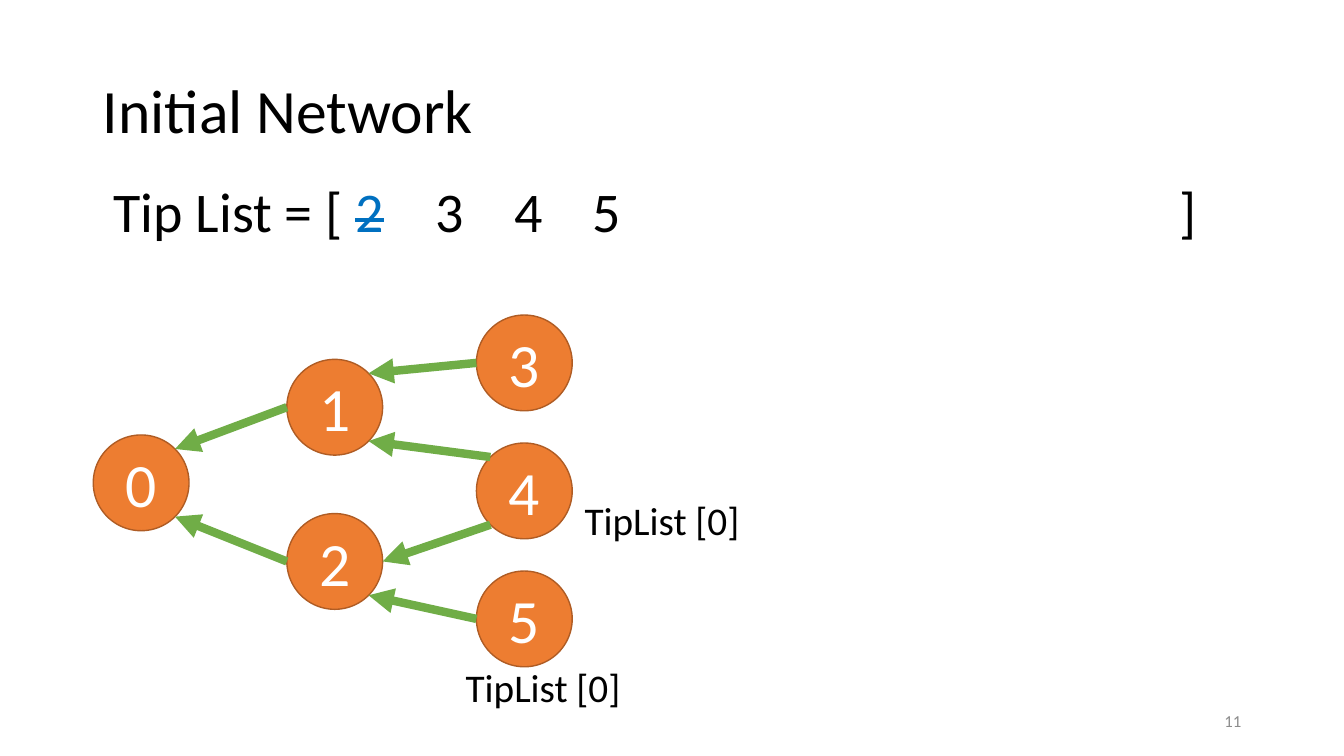
from math import cos, radians, sin

from lxml import etree
from pptx import Presentation
from pptx.dml.color import RGBColor
from pptx.enum.shapes import MSO_CONNECTOR, MSO_SHAPE
from pptx.enum.text import MSO_ANCHOR, PP_ALIGN
from pptx.oxml.ns import qn
from pptx.util import Inches, Pt

ELLIPSE, STRAIGHT = MSO_SHAPE.OVAL, MSO_CONNECTOR.STRAIGHT
TOP, MIDDLE = MSO_ANCHOR.TOP, MSO_ANCHOR.MIDDLE
LEFT, CENTER, RIGHT = PP_ALIGN.LEFT, PP_ALIGN.CENTER, PP_ALIGN.RIGHT

WIDTH, HEIGHT = 13.33, 7.5
MARGIN = 0.92
CONTENT_WIDTH = WIDTH - 2 * MARGIN
DIAMETER = 0.95
COLUMNS = [1.4, 3.32, 5.2]
TIP_TOP, TIP_GAP = 3.6, 1.27
NODES = {
    "0": (COLUMNS[0], 4.79),
    "1": (COLUMNS[1], 4.04),
    "2": (COLUMNS[1], 5.57),
    **{str(3 + row): (COLUMNS[2], TIP_TOP + row * TIP_GAP) for row in range(3)},
}
EAST, SOUTH_EAST, SOUTH_WEST, WEST, NORTH_WEST, NORTH_EAST = 0, 45, 135, 180, 225, 315
EDGES = [
    ("1", WEST, "0", NORTH_EAST),
    ("2", WEST, "0", SOUTH_EAST),
    ("3", WEST, "1", NORTH_EAST),
    ("4", NORTH_WEST, "1", SOUTH_EAST),
    ("4", SOUTH_WEST, "2", EAST),
    ("5", WEST, "2", SOUTH_EAST),
]
FIRST_TIP_STOP, TIP_STOP_GAP, BRACKET_STOP = 3.19, 0.78, 10.57
TIP_STOPS = [FIRST_TIP_STOP + i * TIP_STOP_GAP for i in range(3)] + [BRACKET_STOP]


def color(value):
    return RGBColor.from_string(value)


def format_text(shape, size, hex_color="000000", align=LEFT, anchor=TOP):
    shape.text_frame.word_wrap = True
    shape.text_frame.vertical_anchor = anchor
    for paragraph in shape.text_frame.paragraphs:
        paragraph.alignment = align
        for run in paragraph.runs:
            run.font.name = "Calibri"
            run.font.size = Pt(size)
            run.font.color.rgb = color(hex_color)


def place(shape, left, top, width, height):
    shape.left, shape.top = Inches(left), Inches(top)
    shape.width, shape.height = Inches(width), Inches(height)


def add_title(slide, text):
    title = slide.shapes.title
    place(title, MARGIN, 0.4, CONTENT_WIDTH, 1.45)
    title.text_frame.text = text
    title.text_frame.paragraphs[0].line_spacing = 0.9
    format_text(title, 44, anchor=MIDDLE)


def add_text(slide, box, text, size, **style):
    shape = slide.shapes.add_textbox(*map(Inches, box))
    shape.text_frame.text = text
    format_text(shape, size, **style)
    return shape


def add_tip_list(slide):
    shape = add_text(slide, (1.03, 1.7, 11.38, 0.77), "Tip List = [ ", 40)
    paragraph = shape.text_frame.paragraphs[0]
    used_tip, open_tips = paragraph.add_run(), paragraph.add_run()
    used_tip.text = "2"
    open_tips.text = "\t3\t4\t5\t]"
    format_text(shape, 40)
    used_tip.font.color.rgb = color("0070C0")
    used_tip.font._element.set("strike", "sngStrike")
    tabs = etree.SubElement(paragraph._p.get_or_add_pPr(), qn("a:tabLst"))
    for stop in TIP_STOPS:
        etree.SubElement(tabs, qn("a:tab"), pos=str(Inches(stop)), algn="l")


def add_node(slide, name):
    x, y = NODES[name]
    box = (x - DIAMETER / 2, y - DIAMETER / 2, DIAMETER, DIAMETER)
    node = slide.shapes.add_shape(ELLIPSE, *map(Inches, box))
    node.shadow.inherit = False
    node.fill.solid()
    node.fill.fore_color.rgb = color("ED7D31")
    node.line.color.rgb = color("AF5C24")
    node.line.width = Pt(1)
    node.text_frame.text = name
    format_text(node, 44, "FFFFFF", CENTER, MIDDLE)


def rim_point(name, angle):
    x, y = NODES[name]
    turn = radians(angle)
    return Inches(x + DIAMETER / 2 * cos(turn)), Inches(y + DIAMETER / 2 * sin(turn))


def add_arrow(slide, source, source_angle, target, target_angle):
    arrow = slide.shapes.add_connector(
        STRAIGHT, *rim_point(source, source_angle), *rim_point(target, target_angle)
    )
    arrow.line.color.rgb = color("70AD47")
    arrow.line.width = Pt(6)
    etree.SubElement(arrow.line._get_or_add_ln(), qn("a:tailEnd"), type="triangle")
    etree.SubElement(arrow._element.spPr, qn("a:effectLst"))


def main():
    presentation = Presentation()
    presentation.slide_width, presentation.slide_height = Inches(WIDTH), Inches(HEIGHT)
    slide = presentation.slides.add_slide(presentation.slide_layouts[5])
    add_title(slide, "Initial Network")
    add_tip_list(slide)
    for name in NODES:
        add_node(slide, name)
    for edge in EDGES:
        add_arrow(slide, *edge)
    for left, top in [(5.7, 4.87), (4.52, 6.53)]:
        add_text(slide, (left, top, 1.91, 0.57), "TipList [0]", 28)
    number_box = (WIDTH - MARGIN - 3, 6.95, 3, 0.4)
    add_text(slide, number_box, "11", 12, hex_color="8C8C8C", align=RIGHT, anchor=MIDDLE)
    presentation.save("out.pptx")


main()
